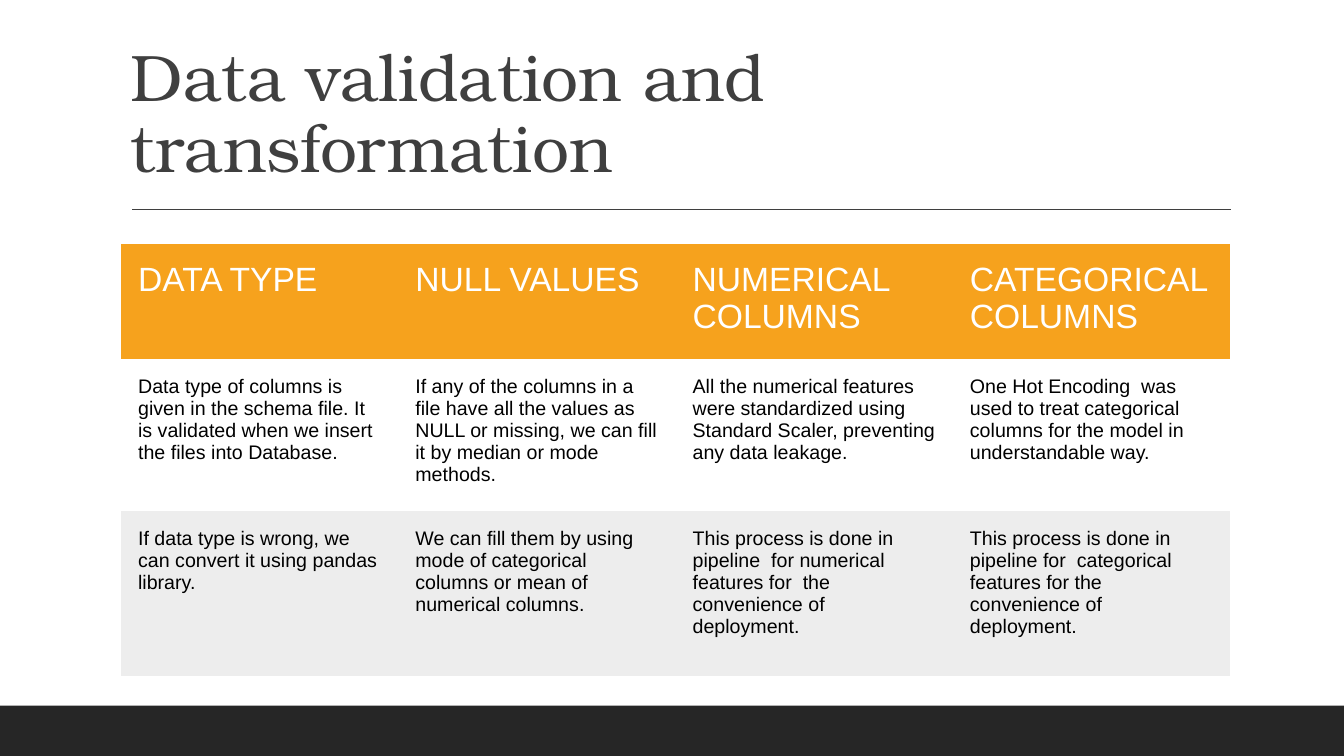
from dataclasses import dataclass

from pptx import Presentation
from pptx.dml.color import RGBColor
from pptx.enum.shapes import MSO_CONNECTOR as Connector, MSO_SHAPE as Shape
from pptx.enum.text import MSO_ANCHOR as Anchor
from pptx.oxml.ns import qn
from pptx.util import Inches, Pt
from lxml.etree import SubElement

TITLE = "Data validation and transformation"
STEPS = [
    ("DATA TYPE", "NULL VALUES", "NUMERICAL COLUMNS", "CATEGORICAL COLUMNS"),
    (
        "Data type of columns is given in the schema file. "
        "It is validated when we insert the files into Database.",
        "If any of the columns in a file have all the values as NULL or missing, "
        "we can fill it by median or mode methods.",
        "All the numerical features were standardized using Standard Scaler, "
        "preventing any data leakage.",
        "One Hot Encoding  was used to treat categorical columns "
        "for the model in understandable way.",
    ),
    (
        "If data type is wrong, we can convert it using pandas library.",
        "We can fill them by using mode of categorical columns "
        "or mean of numerical columns.",
        "This process is done in pipeline  for numerical features "
        "for  the convenience of deployment.",
        "This process is done in pipeline for  categorical features "
        "for the convenience of deployment.",
    ),
]


@dataclass(frozen=True)
class Theme:
    title_font: str = "TeX Gyre Bonum"
    body_font: str = "Arial"
    title_size: int = 47
    heading_size: int = 24
    body_size: int = 14
    title: str = "3F3F3F"
    footer: str = "262626"
    heading: str = "FFFFFF"
    body: str = "000000"
    heading_fill: str = "F6A21D"
    shaded_fill: str = "EDEDED"


THEME = Theme()
WIDTH, HEIGHT, FOOTER_HEIGHT = 13.33, 7.5, 0.5
LEFT, CONTENT_WIDTH = 1.2, 11
TABLE_TOP, CELL_MARGIN = 2.42, 0.17
ROW_HEIGHTS = (1.08, 1.42, 1.64)
ROW_FILLS = (THEME.heading_fill, None, THEME.shaded_fill)
NO_STYLE_NO_GRID = "{2D5ABB26-0587-4C30-8999-92F81FD0307C}"


def rgb(color):
    return RGBColor.from_string(color)


def set_font(paragraph, face, size, color):
    paragraph.font.name = face
    paragraph.font.size = Pt(size)
    paragraph.font.color.rgb = rgb(color)


def add_footer(slide):
    footer = slide.shapes.add_shape(
        Shape.RECTANGLE, 0, Inches(HEIGHT - FOOTER_HEIGHT),
        Inches(WIDTH), Inches(FOOTER_HEIGHT))
    footer.shadow.inherit = False
    footer.fill.solid()
    footer.fill.fore_color.rgb = rgb(THEME.footer)
    footer.line.fill.background()


def add_title(slide):
    """Add the heading and the rule below it."""
    heading = slide.shapes.add_textbox(
        Inches(LEFT), Inches(0.31), Inches(CONTENT_WIDTH), Inches(1.59))
    frame = heading.text_frame
    frame.word_wrap = True
    frame.vertical_anchor = Anchor.BOTTOM
    frame.text = TITLE
    paragraph = frame.paragraphs[0]
    paragraph.line_spacing = 0.9
    set_font(paragraph, THEME.title_font, THEME.title_size, THEME.title)

    rule = slide.shapes.add_connector(
        Connector.STRAIGHT, Inches(1.31), Inches(2.08), Inches(12.21), Inches(2.08))
    rule.line.color.rgb = rgb(THEME.title)
    rule.line.width = Pt(1)
    SubElement(rule._element.spPr, qn("a:effectLst"))


def fill_cell(cell, text, is_heading, fill):
    cell.margin_left = cell.margin_right = Inches(CELL_MARGIN)
    cell.margin_top = cell.margin_bottom = Inches(CELL_MARGIN)
    cell.text = text
    size, color = ((THEME.heading_size, THEME.heading) if is_heading
                   else (THEME.body_size, THEME.body))
    set_font(cell.text_frame.paragraphs[0], THEME.body_font, size, color)
    if fill:
        cell.fill.solid()
        cell.fill.fore_color.rgb = rgb(fill)
    else:
        cell.fill.background()


def add_steps(slide):
    """Add the table of validation and transformation steps."""
    steps = slide.shapes.add_table(
        len(STEPS), len(STEPS[0]), Inches(LEFT), Inches(TABLE_TOP),
        Inches(CONTENT_WIDTH), Inches(sum(ROW_HEIGHTS))).table
    steps.horz_banding = False
    steps._tbl.tblPr.find(qn("a:tableStyleId")).text = NO_STYLE_NO_GRID
    for row, (texts, height, fill) in enumerate(zip(STEPS, ROW_HEIGHTS, ROW_FILLS)):
        steps.rows[row].height = Inches(height)
        for column, text in enumerate(texts):
            fill_cell(steps.cell(row, column), text, row == 0, fill)


def main():
    deck = Presentation()
    deck.slide_width, deck.slide_height = Inches(WIDTH), Inches(HEIGHT)
    slide = deck.slides.add_slide(deck.slide_layouts[6])
    add_footer(slide)
    add_title(slide)
    add_steps(slide)
    deck.save("out.pptx")


if __name__ == "__main__":
    main()
